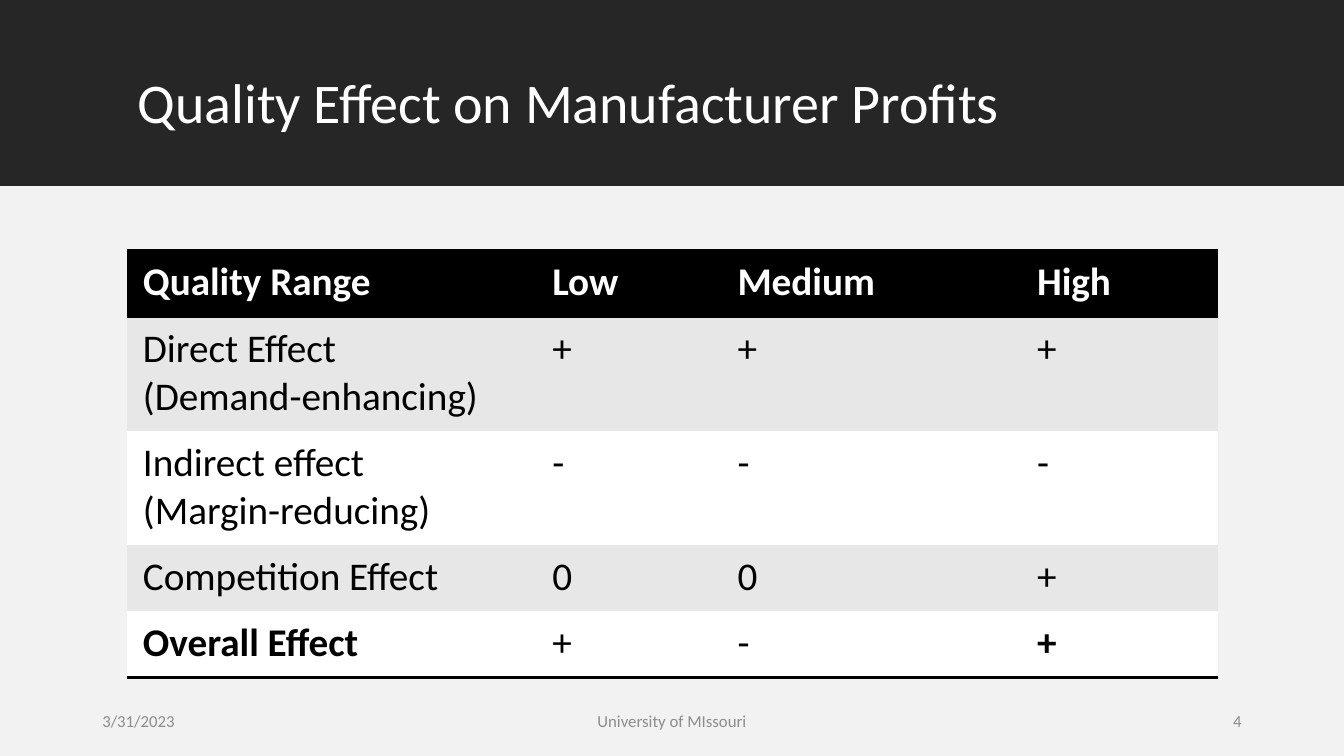
from lxml.etree import SubElement
from pptx import Presentation
from pptx.dml.color import RGBColor
from pptx.enum.shapes import MSO_SHAPE as Shape
from pptx.enum.text import MSO_ANCHOR as Anchor, PP_ALIGN as Align
from pptx.oxml.ns import qn
from pptx.util import Pt

TITLE = "Quality Effect on Manufacturer Profits"
ROWS = [
    ("Quality Range", "Low", "Medium", "High"),
    ("Direct Effect\n(Demand-enhancing)", "+", "+", "+"),
    ("Indirect effect\n(Margin-reducing)", "-", "-", "-"),
    ("Competition Effect", "0", "0", "+"),
    ("Overall Effect", "+", "-", "+"),
]
LAST_ROW = len(ROWS) - 1
BOLD_CELLS = {(0, column) for column in range(4)} | {(LAST_ROW, 0), (LAST_ROW, 3)}
FOOTERS = [
    ("3/31/2023", 66, 216, Align.LEFT),
    ("University of MIssouri", 318, 324, Align.CENTER),
    ("4", 678, 216, Align.RIGHT),
]
COLORS = {
    "band": "262626", "page": "F2F2F2", "white": "FFFFFF",
    "black": "000000", "stripe": "E7E7E7", "footer": "8C8C8C",
}
FONT = "Calibri"
SLIDE_WIDTH, SLIDE_HEIGHT, BAND_HEIGHT = 960, 540, 133
TABLE_LEFT, TABLE_TOP = 90.7, 179
COLUMN_WIDTHS = (292.4, 132.3, 214, 140.4)
LINE_ROW_HEIGHTS = {1: 47.4, 2: 81.4}
NO_STYLE = "{2D5ABB26-0587-4C30-8999-92F81FD0307C}"


def color(name):
    return RGBColor.from_string(COLORS[name])


def write(frame, text, size, color_name, bold=False, align=Align.LEFT):
    frame.word_wrap = True
    for index, line in enumerate(text.split("\n")):
        paragraph = frame.add_paragraph() if index else frame.paragraphs[0]
        paragraph.alignment = align
        run = paragraph.add_run()
        run.text = line
        run.font.name = FONT
        run.font.size = Pt(size)
        run.font.bold = bold
        run.font.color.rgb = color(color_name)


def add_band(slide, top, height, color_name, depth):
    band = slide.shapes.add_shape(
        Shape.RECTANGLE, 0, Pt(top), Pt(SLIDE_WIDTH), Pt(height))
    band.shadow.inherit = False
    band.fill.solid()
    band.fill.fore_color.rgb = color(color_name)
    band.line.fill.background()
    slide.shapes._spTree.insert(2 + depth, band._element)


def add_border(cell, side):
    line = SubElement(cell._tc.get_or_add_tcPr(), qn("a:ln" + side), w=str(Pt(2)))
    fill = SubElement(line, qn("a:solidFill"))
    SubElement(fill, qn("a:srgbClr"), val=COLORS["black"])


def add_effect_table(slide):
    heights = [LINE_ROW_HEIGHTS[row[0].count("\n") + 1] for row in ROWS]
    table = slide.shapes.add_table(
        len(ROWS), len(COLUMN_WIDTHS), Pt(TABLE_LEFT), Pt(TABLE_TOP),
        Pt(sum(COLUMN_WIDTHS)), Pt(sum(heights))).table
    table.horz_banding = False
    table._tbl.tblPr.find(qn("a:tableStyleId")).text = NO_STYLE
    for column, width in zip(table.columns, COLUMN_WIDTHS):
        column.width = Pt(width)
    for row, height in zip(table.rows, heights):
        row.height = Pt(height)
    borders = {0: "TB", LAST_ROW: "B"}
    for row_index, row in enumerate(ROWS):
        header = row_index == 0
        fill_name = "black" if header else "stripe" if row_index % 2 else "white"
        for column_index, text in enumerate(row):
            cell = table.cell(row_index, column_index)
            cell.margin_left = cell.margin_right = Pt(11.4)
            cell.margin_top = cell.margin_bottom = Pt(5.7)
            for side in borders.get(row_index, ""):
                add_border(cell, side)
            cell.fill.solid()
            cell.fill.fore_color.rgb = color(fill_name)
            write(cell.text_frame, text, 28, "white" if header else "black",
                  (row_index, column_index) in BOLD_CELLS)


presentation = Presentation()
presentation.slide_width = Pt(SLIDE_WIDTH)
presentation.slide_height = Pt(SLIDE_HEIGHT)
slide = presentation.slides.add_slide(presentation.slide_layouts[5])

add_band(slide, 0, BAND_HEIGHT, "band", 0)
add_band(slide, BAND_HEIGHT, SLIDE_HEIGHT - BAND_HEIGHT, "page", 1)

title = slide.shapes.title
title.left, title.top, title.width, title.height = Pt(91.2), Pt(50.4), Pt(778.4), Pt(70.6)
title.text_frame.vertical_anchor = Anchor.TOP
write(title.text_frame, TITLE, 40, "white")
title.text_frame.paragraphs[0].line_spacing = 0.9

add_effect_table(slide)

for text, left, width, align in FOOTERS:
    footer = slide.shapes.add_textbox(Pt(left), Pt(500.5), Pt(width), Pt(28.8))
    footer.text_frame.vertical_anchor = Anchor.MIDDLE
    write(footer.text_frame, text, 12, "footer", align=align)

presentation.save("out.pptx")
